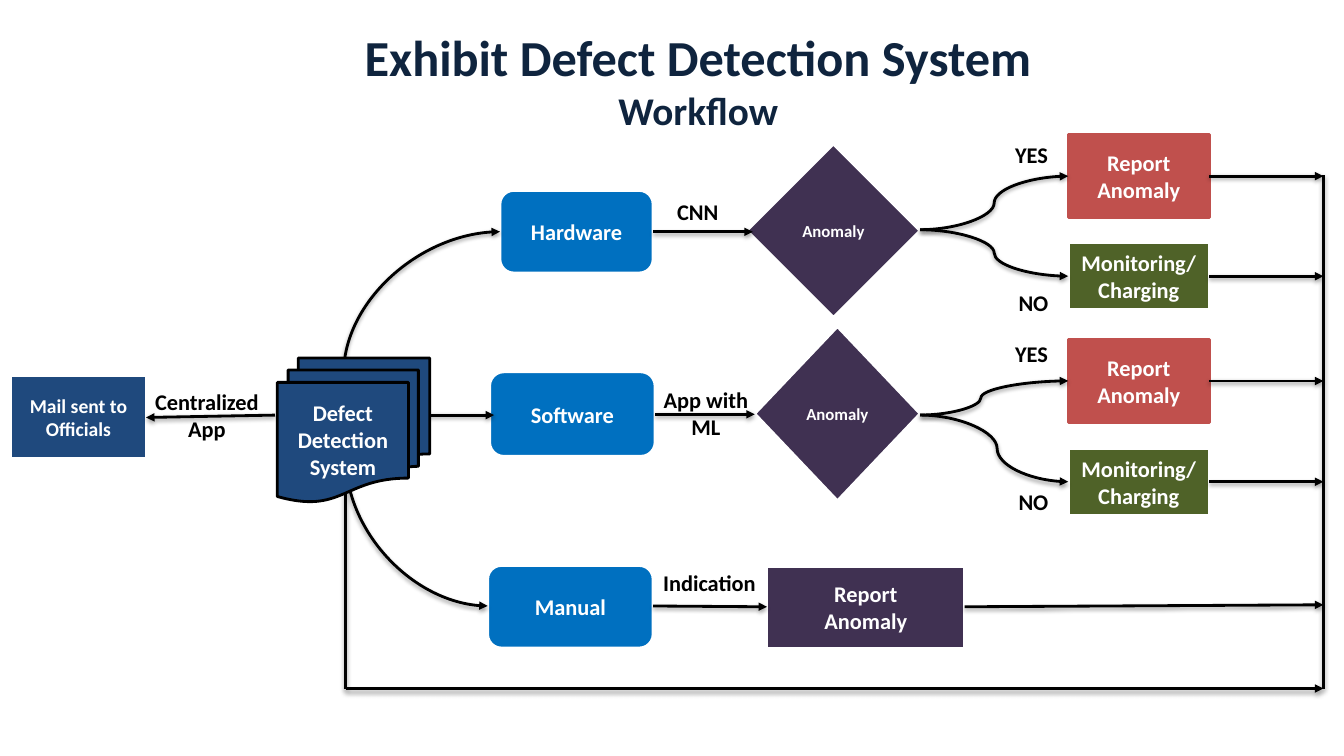
from lxml.etree import SubElement
from pptx import Presentation
from pptx.dml.color import RGBColor
from pptx.enum.shapes import MSO_CONNECTOR, MSO_SHAPE
from pptx.enum.text import MSO_ANCHOR, MSO_AUTO_SIZE, PP_ALIGN
from pptx.oxml.ns import qn
from pptx.util import Cm, Pt

COLORS = {
    "ink": "0F243E", "black": "000000", "white": "FFFFFF", "navy": "1F497D",
    "blue": "0070C0", "purple": "403152", "red": "C0504D", "green": "4F6228",
}


def color(name):
    return RGBColor.from_string(COLORS[name])


class WorkflowSlide:
    """Holds the style and the current slide, and draws its elements."""

    font_name = "Calibri"
    line_width = Pt(2)

    def __init__(self, slide):
        self.slide = slide

    def style_font(self, font, size, ink):
        font.name, font.size, font.bold = self.font_name, Pt(size), True
        font.color.rgb = color(ink)

    def fill_text(self, frame, text, size, ink):
        frame.word_wrap = True
        frame.vertical_anchor = MSO_ANCHOR.MIDDLE
        frame.text = text
        for paragraph in frame.paragraphs:
            paragraph.alignment = PP_ALIGN.CENTER
            self.style_font(paragraph.font, size, ink)

    def title(self, heading, subheading, box):
        title = self.slide.shapes.title
        title.left, title.top, title.width, title.height = map(Cm, box)
        title.text_frame.vertical_anchor = MSO_ANCHOR.MIDDLE
        paragraph = title.text_frame.paragraphs[0]
        paragraph.alignment = PP_ALIGN.CENTER
        heading_run = paragraph.add_run()
        heading_run.text = heading
        self.style_font(heading_run.font, 36, "ink")
        paragraph.add_line_break()
        subheading_run = paragraph.add_run()
        subheading_run.text = subheading
        self.style_font(subheading_run.font, 28, "ink")

    def node(self, kind, text, box, fill, outline="white", size=16):
        node = self.slide.shapes.add_shape(kind, *map(Cm, box))
        node.shadow.inherit = False
        node.fill.solid()
        node.fill.fore_color.rgb = color(fill)
        node.line.color.rgb = color(outline)
        node.line.width = self.line_width
        self.fill_text(node.text_frame, text, size, "white")

    def label(self, text, box):
        label = self.slide.shapes.add_textbox(*map(Cm, box))
        self.fill_text(label.text_frame, text, 16, "black")
        label.text_frame.auto_size = MSO_AUTO_SIZE.SHAPE_TO_FIT_TEXT

    def line(self, start, end, arrow=True, kind=MSO_CONNECTOR.STRAIGHT):
        line = self.slide.shapes.add_connector(kind, *map(Cm, (*start, *end)))
        line.line.color.rgb = color("black")
        line.line.width = self.line_width
        properties = line.element.spPr
        if arrow:
            SubElement(properties.find(qn("a:ln")), qn("a:tailEnd"), type="triangle")
        effects = SubElement(properties, qn("a:effectLst"))
        shadow = SubElement(effects, qn("a:outerShdw"), blurRad="40000",
                            dist="20000", dir="5400000", rotWithShape="0")
        tint = SubElement(shadow, qn("a:srgbClr"), val=COLORS["black"])
        SubElement(tint, qn("a:alpha"), val="38000")
        return properties

    def fork(self, start, end, bend):
        properties = self.line(start, end, kind=MSO_CONNECTOR.CURVE)
        guides = properties.find(qn("a:prstGeom")).find(qn("a:avLst"))
        SubElement(guides, qn("a:gd"), name="adj1", fmla=f"val {round(bend * 100000)}")

    def arc(self, start, end):
        """Draw a quarter curve that leaves vertically and arrives horizontally."""
        (x1, y1), (x2, y2) = start, end
        turn = 1 if y2 < y1 else -1
        middle_x, middle_y = (x1 + x2) / 2, (y1 + y2) / 2
        half_w, half_h = turn * (y2 - y1) / 2, -turn * (x2 - x1) / 2
        properties = self.line((middle_x - half_w, middle_y - half_h),
                               (middle_x + half_w, middle_y + half_h),
                               kind=MSO_CONNECTOR.CURVE)
        properties.find(qn("a:prstGeom")).set("prst", "curvedConnector2")
        properties.find(qn("a:xfrm")).set("rot", str(turn * 90 % 360 * 60000))


def main():
    deck = Presentation()
    deck.slide_width, deck.slide_height = Cm(33.87), Cm(19.05)
    page = WorkflowSlide(deck.slides.add_slide(deck.slide_layouts[5]))
    page.title("Exhibit Defect Detection System", "Workflow", (7.42, 0.43, 20.35, 3.15))

    page.node(MSO_SHAPE.RECTANGLE, "Mail sent to Officials",
              (0.28, 9.47, 3.4, 2.08), "navy", size=14)
    for source, box in (
        ("Hardware", (12.6, 4.8, 3.86, 2.08)),
        ("Software", (12.34, 9.37, 4.17, 2.13)),
        ("Manual", (12.29, 14.25, 4.17, 2.08)),
    ):
        page.node(MSO_SHAPE.ROUNDED_RECTANGLE, source, box, "blue")
    for box in ((18.82, 3.63, 4.37, 4.37), (19.02, 8.23, 4.17, 4.39)):
        page.node(MSO_SHAPE.DIAMOND, "Anomaly", box, "purple", size=12)
    page.node(MSO_SHAPE.RECTANGLE, "Report\nAnomaly", (19.33, 14.27, 4.98, 2.06), "purple")

    fork_x, outcome_x, outcome_width, bus_x = 23.19, 26.92, 3.56, 33.35
    report_height, monitoring_height = 2.08, 1.68
    for fork_y, report_y, monitoring_y, yes_y, yes_bend, no_bend in (
        (5.79, 3.4, 6.12, 3.43, 0.5, 0.5),
        (10.46, 8.56, 11.3, 8.43, 0.41, 0.52),
    ):
        for text, top, height, fill, outline, bend in (
            ("Report\nAnomaly", report_y, report_height, "red", "red", yes_bend),
            ("Monitoring/\nCharging", monitoring_y, monitoring_height, "green", "white", no_bend),
        ):
            page.node(MSO_SHAPE.RECTANGLE, text,
                      (outcome_x, top, outcome_width, height), fill, outline)
            middle = top + height / 2
            page.fork((fork_x, fork_y), (outcome_x, middle), bend)
            page.line((outcome_x + outcome_width, middle), (bus_x, middle))
        page.label("YES", (25.07, yes_y, 1.85, 0.94))
        page.label("NO", (25.12, yes_y + 3.73, 1.85, 0.94))

    page.arc((8.66, 9.42), (12.6, 5.84))
    page.arc((8.71, 11.51), (12.29, 15.27))
    bus_y, return_x = 17.35, 8.71
    for start, end in (
        ((6.93, 10.46), (3.68, 10.52)),
        ((10.8, 10.46), (12.45, 10.46)),
        ((16.46, 5.84), (18.97, 5.84)),
        ((16.51, 10.44), (19.02, 10.44)),
        ((16.46, 15.27), (19.33, 15.29)),
        ((24.31, 15.29), (bus_x, 15.24)),
        ((return_x, bus_y), (bus_x, bus_y)),
    ):
        page.line(start, end)
    page.line((return_x, 11.66), (return_x, bus_y), arrow=False)
    page.line((bus_x, 4.42), (bus_x, bus_y), arrow=False)

    for text, box in (
        ("Centralized\vApp", (3.07, 9.65, 4.29, 1.63)),
        ("CNN", (16.43, 4.85, 2.31, 0.94)),
        ("App with ML", (16.38, 9.58, 2.82, 1.68)),
        ("Indication", (16.23, 14.22, 3.3, 0.94)),
    ):
        page.label(text, box)
    page.node(MSO_SHAPE.FLOWCHART_MULTIDOCUMENT, "Defect Detection System",
              (6.99, 9.02, 3.84, 3.63), "navy", "black")
    deck.save("out.pptx")


if __name__ == "__main__":
    main()
